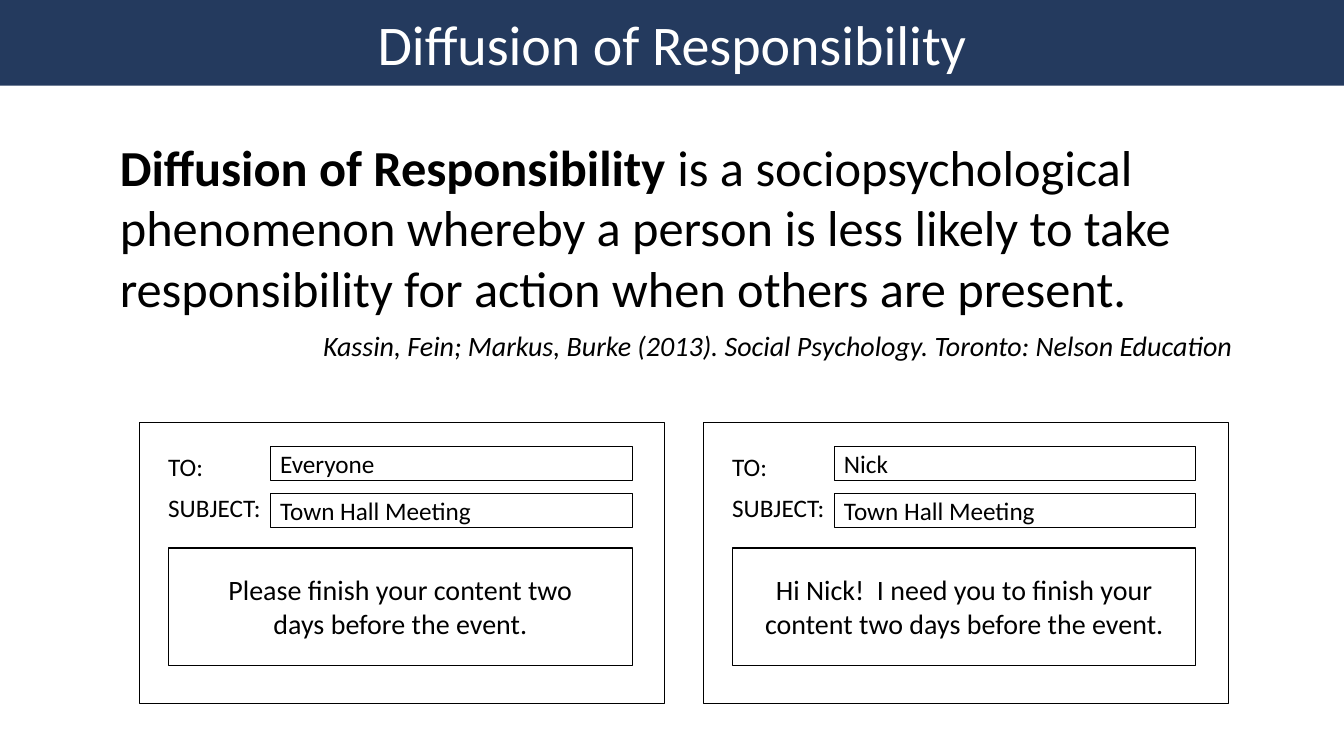
import pptx
import pptx.util
import pptx.dml.color
import pptx.enum.shapes
import pptx.enum.text

Cm = pptx.util.Cm
Pt = pptx.util.Pt
Align = pptx.enum.text.PP_ALIGN
NAVY = pptx.dml.color.RGBColor(0x24, 0x3A, 0x5E)
BLACK = pptx.dml.color.RGBColor(0, 0, 0)
WHITE = pptx.dml.color.RGBColor(255, 255, 255)


def add_box(shapes, left, top, width, height, fill=WHITE, line=BLACK):
    box = shapes.add_shape(pptx.enum.shapes.MSO_SHAPE.RECTANGLE,
                           Cm(left), Cm(top), Cm(width), Cm(height))
    box.shadow.inherit = False
    box.fill.solid()
    box.fill.fore_color.rgb = fill
    if line is None:
        box.line.fill.background()
    else:
        box.line.color.rgb = line
        box.line.width = Pt(0.75)
    box.text_frame.word_wrap = True
    box.text_frame.vertical_anchor = pptx.enum.text.MSO_ANCHOR.MIDDLE
    return box


def add_run(para, text, size, align=Align.LEFT, color=BLACK, bold=False, italic=False):
    para.alignment = align
    run = para.add_run()
    run.text = text
    run.font.name = "Calibri"
    run.font.size = Pt(size)
    run.font.color.rgb = color
    run.font.bold = bold
    run.font.italic = italic


deck = pptx.Presentation()
deck.slide_width = Cm(33.87)
deck.slide_height = Cm(19.05)
slide = deck.slides.add_slide(deck.slide_layouts[6])

title = add_box(slide.shapes, 0, 0, 33.87, 2.16, NAVY, None)
add_run(title.text_frame.paragraphs[0], "Diffusion of Responsibility", 40, Align.CENTER, WHITE)

quote = slide.shapes.add_textbox(Cm(2.77), Cm(3.3), Cm(28.55), Cm(6.07)).text_frame
quote.word_wrap = True
para = quote.paragraphs[0]
add_run(para, "Diffusion of Responsibility ", 36, bold=True)
add_run(para, "is a sociopsychological phenomenon whereby a person is less likely "
        "to take responsibility for action when others are present.", 36)
source = quote.add_paragraph()
source.space_before = Pt(8)
add_run(source, "Kassin, Fein; Markus, Burke (2013). Social Psychology. Toronto: Nelson Education",
        20, Align.RIGHT, italic=True)

mails = [
    ("Everyone", ["Please finish your content two", "days before the event."]),
    ("Nick", ["Hi Nick!  I need you to finish your content two days before the event."]),
]
for index, (name, lines) in enumerate(mails):
    left = 3.51 + 14.21 * index
    mail = slide.shapes.add_group_shape().shapes
    add_box(mail, left, 10.64, 13.23, 7.09)

    for value, top in [(name, 11.25), ("Town Hall Meeting", 12.44)]:
        field = add_box(mail, left + 3.3, top, 9.12, 0.86)
        add_run(field.text_frame.paragraphs[0], value, 18)

    body = add_box(mail, left + 0.74, 13.81, 11.68, 2.95)
    para = body.text_frame.paragraphs[0]
    for number, line in enumerate(lines):
        if number:
            para.add_line_break()
        add_run(para, line, 20, Align.CENTER)

    for text, top, width in [("TO:", 11.25, 1.57), ("SUBJECT:", 12.28, 3.15)]:
        label = mail.add_textbox(Cm(left + 0.48), Cm(top), Cm(width), Cm(1.02)).text_frame
        label.word_wrap = True
        add_run(label.paragraphs[0], text, 18)

deck.save("out.pptx")
